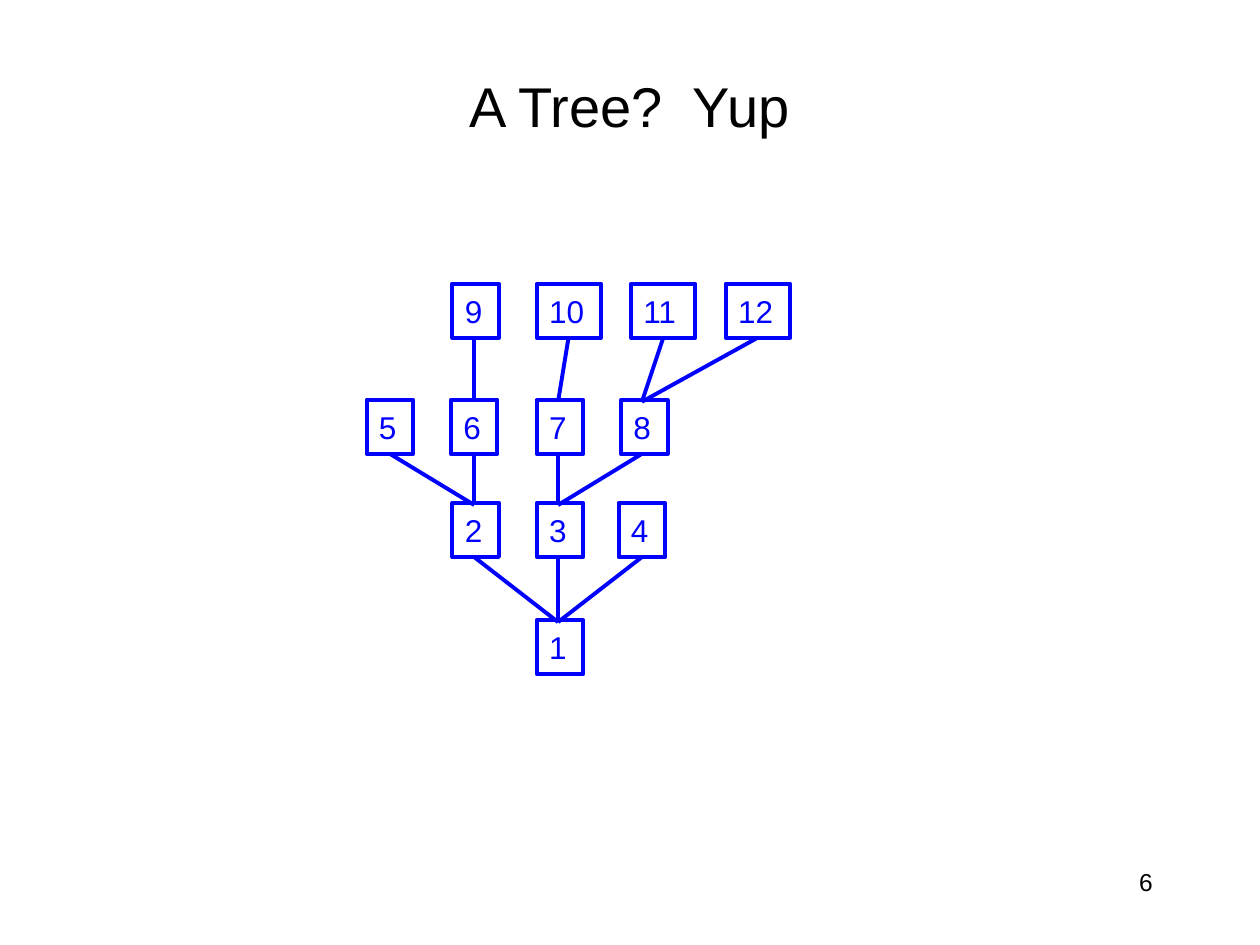
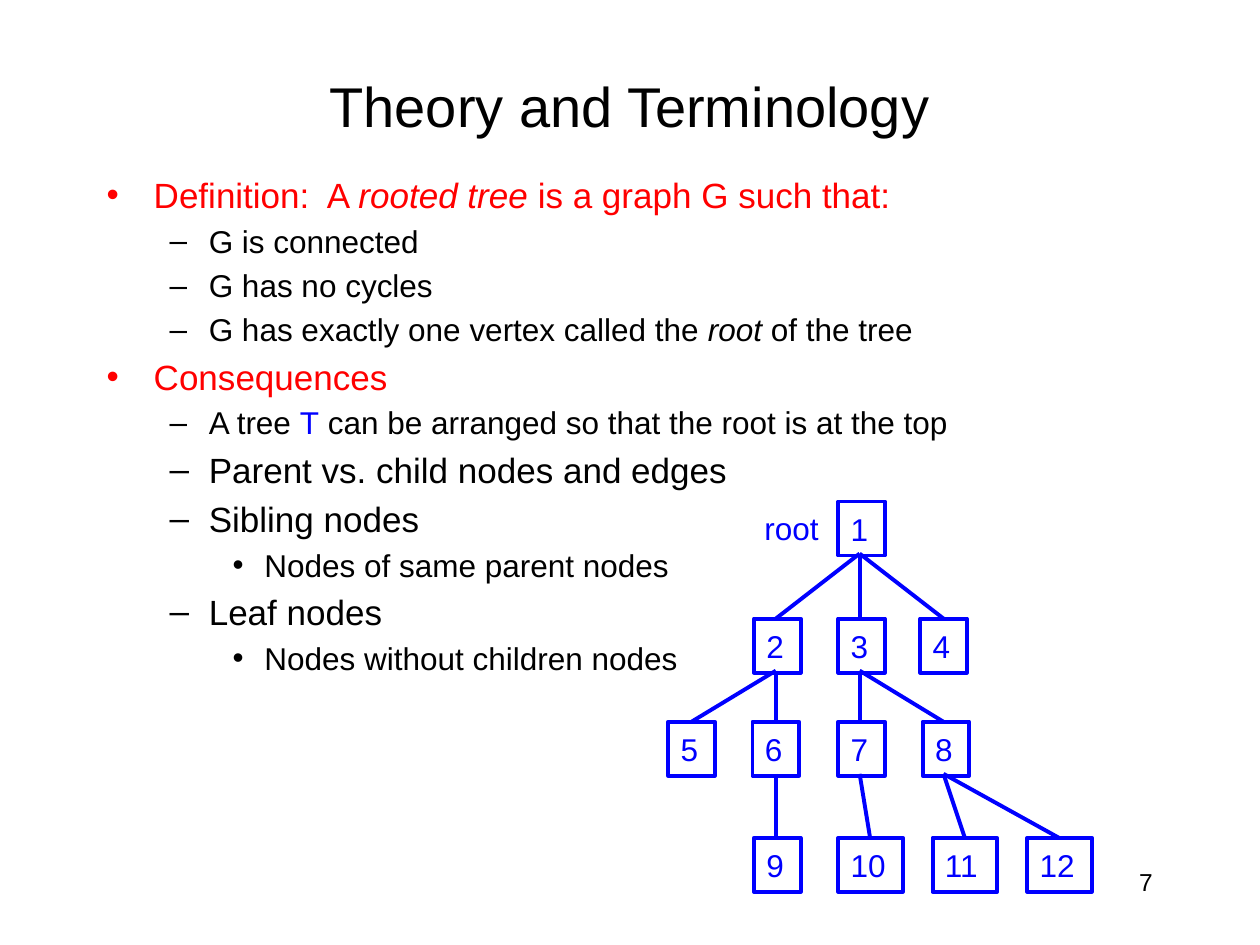
import dataclasses
import typing

import lxml.etree
import pptx
import pptx.dml.color
import pptx.enum.shapes
import pptx.enum.text
import pptx.oxml.ns
import pptx.slide
import pptx.text.text
import pptx.util

Cm = pptx.util.Cm
Pt = pptx.util.Pt
Align = pptx.enum.text.PP_ALIGN
Anchor = pptx.enum.text.MSO_ANCHOR
qn = pptx.oxml.ns.qn

# Shared style
BLACK = pptx.dml.color.RGBColor(0x00, 0x00, 0x00)
RED = pptx.dml.color.RGBColor(0xFF, 0x00, 0x00)
BLUE = pptx.dml.color.RGBColor(0x00, 0x00, 0xFF)
FONT = "Arial"
LINE_WIDTH = Pt(2.25)

# Tree geometry in centimetres, relative to the root
LEVEL_DROP = (0, 2.36, 4.44, 6.78)
NODE_HEIGHT = 1.09
NARROW, WIDE = 0.94, 1.3
ROOT_ANCHOR = 0.43
EDGE_OVERLAP = 0.04


class Box(typing.NamedTuple):
    left: float
    top: float
    width: float
    height: float

    def lengths(self) -> list[int]:
        return [Cm(side) for side in self]


TITLE_BOX = Box(1.9, 1.07, 21.59, 2.11)
BODY_BOX = Box(1.9, 3.38, 21.59, 11)
NUMBER_BOX = Box(18.21, 17.35, 5.28, 1.27)
ROOT_LABEL_BOX = Box(15.16, 10.13, 1.6, 1.02)


@dataclasses.dataclass(frozen=True)
class Node:
    label: int
    parent: int | None
    level: int
    left: float
    anchor: float  # where its edges meet, measured from the root's anchor


@dataclasses.dataclass(frozen=True)
class TreePlace:
    left: float
    top: float
    direction: int  # 1 grows down, -1 grows up


class Piece(typing.NamedTuple):
    text: str
    italic: bool = False
    color: pptx.dml.color.RGBColor | None = None


class Point(typing.NamedTuple):
    level: int
    size: int
    pieces: tuple[Piece, ...]


class Bullet(typing.NamedTuple):
    symbol: str
    margin: float
    hang: float
    color: pptx.dml.color.RGBColor


NODES = (
    Node(1, None, 0, 0, 0),
    Node(2, 1, 1, -1.7, -1.69),
    Node(3, 1, 1, 0, 0),
    Node(4, 1, 1, 1.65, 1.69),
    Node(5, 2, 2, -3.43, -3.39),
    Node(6, 2, 2, -1.73, -1.69),
    Node(7, 3, 2, 0, 0),
    Node(8, 3, 2, 1.7, 1.69),
    Node(9, 6, 3, -1.7, -1.69),
    Node(10, 7, 3, 0, 0.21),
    Node(11, 8, 3, 1.9, 2.12),
    Node(12, 8, 3, 3.81, 4.02),
)

BULLETS = (
    Bullet("•", 0.95, 0.95, RED),
    Bullet("–", 2.06, 0.79, BLACK),
    Bullet("•", 3.18, 0.64, BLACK),
)

POINTS = (
    Point(0, 20, (Piece("Definition:  A "), Piece("rooted tree", italic=True),
                  Piece(" is a graph G such that:"))),
    Point(1, 18, (Piece("G is connected"),)),
    Point(1, 18, (Piece("G has no cycles"),)),
    Point(1, 18, (Piece("G has exactly one vertex called the "),
                  Piece("root", italic=True), Piece(" of the tree"))),
    Point(0, 20, (Piece("Consequences"),)),
    Point(1, 18, (Piece("A tree "), Piece("T", color=BLUE),
                  Piece(" can be arranged so that the root is at the top"))),
    Point(1, 20, (Piece("Parent vs. child nodes and edges"),)),
    Point(1, 20, (Piece("Sibling nodes"),)),
    Point(2, 18, (Piece("Nodes of same parent nodes"),)),
    Point(1, 20, (Piece("Leaf nodes"),)),
    Point(2, 18, (Piece("Nodes without children nodes"),)),
)


def add_run(paragraph: typing.Any, text: str, size: int,
            color: pptx.dml.color.RGBColor, italic: bool = False) -> None:
    run = paragraph.add_run()
    run.text = text
    run.font.name = FONT
    run.font.size = Pt(size)
    run.font.color.rgb = color
    run.font.italic = italic


def add_label(slide: pptx.slide.Slide, box: Box, text: str, size: int,
              color: pptx.dml.color.RGBColor = BLACK, align: Align = Align.LEFT,
              anchor: Anchor = Anchor.TOP, wrap: bool = True) -> None:
    frame = slide.shapes.add_textbox(*box.lengths()).text_frame
    frame.word_wrap = wrap
    frame.vertical_anchor = anchor
    frame.paragraphs[0].alignment = align
    add_run(frame.paragraphs[0], text, size, color)


def add_page(deck: typing.Any, title: str, number: int) -> pptx.slide.Slide:
    slide = deck.slides.add_slide(deck.slide_layouts[6])
    add_label(slide, NUMBER_BOX, str(number), 14, align=Align.RIGHT)
    add_label(slide, TITLE_BOX, title, 32, align=Align.CENTER, anchor=Anchor.MIDDLE)
    return slide


def set_bullet(paragraph: typing.Any, bullet: Bullet) -> None:
    props = paragraph._p.get_or_add_pPr()
    props.set("marL", str(Cm(bullet.margin)))
    props.set("indent", str(-Cm(bullet.hang)))
    spacing = lxml.etree.SubElement(props, qn("a:spcBef"))
    lxml.etree.SubElement(spacing, qn("a:spcPct")).set("val", "20000")
    lxml.etree.SubElement(props, qn("a:buFont")).set("typeface", FONT)
    lxml.etree.SubElement(props, qn("a:buChar")).set("char", bullet.symbol)


def add_points(slide: pptx.slide.Slide, points: tuple[Point, ...]) -> None:
    frame = slide.shapes.add_textbox(*BODY_BOX.lengths()).text_frame
    frame.word_wrap = True
    for index, point in enumerate(points):
        paragraph = frame.add_paragraph() if index else frame.paragraphs[0]
        paragraph.level = point.level
        bullet = BULLETS[point.level]
        set_bullet(paragraph, bullet)
        for piece in point.pieces:
            add_run(paragraph, piece.text, point.size,
                    piece.color or bullet.color, piece.italic)


def node_top(node: Node, place: TreePlace) -> float:
    return place.top + place.direction * LEVEL_DROP[node.level]


def add_node(slide: pptx.slide.Slide, node: Node, place: TreePlace) -> None:
    width = NARROW if node.label < 10 else WIDE
    box = Box(place.left + node.left, node_top(node, place), width, NODE_HEIGHT)
    square = slide.shapes.add_shape(
        pptx.enum.shapes.MSO_SHAPE.RECTANGLE, *box.lengths())
    square.shadow.inherit = False
    square.fill.background()
    square.line.color.rgb = BLUE
    square.line.width = LINE_WIDTH
    frame = square.text_frame
    frame.word_wrap = False
    frame.vertical_anchor = Anchor.MIDDLE
    frame.paragraphs[0].alignment = Align.LEFT
    add_run(frame.paragraphs[0], str(node.label), 18, BLUE)


def add_edge(slide: pptx.slide.Slide, parent: Node, child: Node,
             place: TreePlace) -> None:
    start, end = node_top(parent, place), node_top(child, place)
    if place.direction > 0:
        start += NODE_HEIGHT
    else:
        end += NODE_HEIGHT
    start -= place.direction * EDGE_OVERLAP
    origin = place.left + ROOT_ANCHOR
    edge = slide.shapes.add_connector(
        pptx.enum.shapes.MSO_CONNECTOR.STRAIGHT,
        Cm(origin + parent.anchor), Cm(start), Cm(origin + child.anchor), Cm(end))
    edge.line.color.rgb = BLUE
    edge.line.width = LINE_WIDTH
    lxml.etree.SubElement(edge._element.spPr, qn("a:effectLst"))


def add_tree(slide: pptx.slide.Slide, place: TreePlace) -> None:
    by_label = {node.label: node for node in NODES}
    for node in NODES:
        add_node(slide, node, place)
    for node in NODES:
        if node.parent is not None:
            add_edge(slide, by_label[node.parent], node, place)


def main() -> None:
    deck = pptx.Presentation()
    deck.slide_width, deck.slide_height = Cm(25.4), Cm(19.05)

    # Tree growing upwards
    upward = add_page(deck, "A Tree?  Yup", 6)
    add_tree(upward, TreePlace(10.82, 12.5, -1))

    # Definition, with the root at the top
    theory = add_page(deck, "Theory and Terminology", 7)
    add_points(theory, POINTS)
    add_tree(theory, TreePlace(16.9, 10.11, 1))
    add_label(theory, ROOT_LABEL_BOX, "root", 18, color=BLUE, wrap=False)

    deck.save("out.pptx")


if __name__ == "__main__":
    main()
